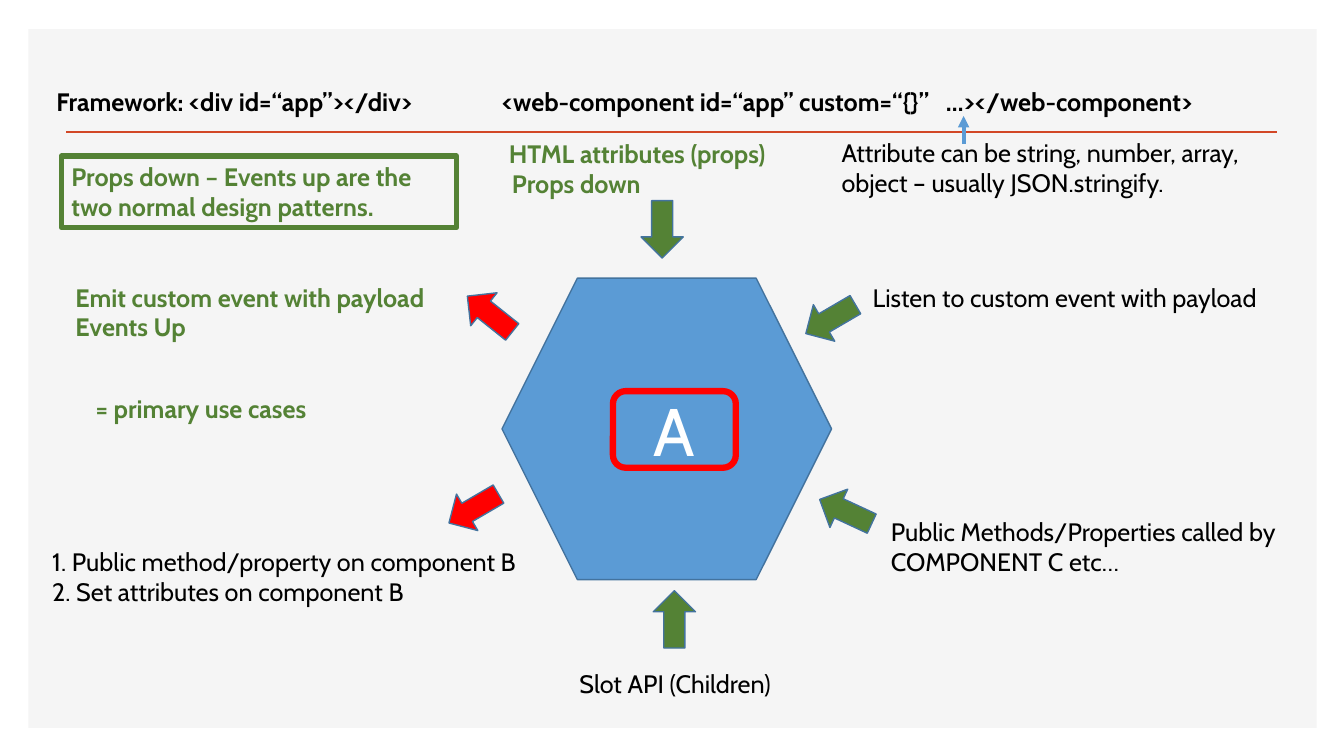
from lxml import etree
from pptx import Presentation
from pptx.dml.color import RGBColor
from pptx.enum.shapes import MSO_CONNECTOR, MSO_SHAPE
from pptx.enum.text import MSO_ANCHOR, MSO_AUTO_SIZE, PP_ALIGN
from pptx.oxml.ns import qn
from pptx.util import Pt

RECTANGLE = MSO_SHAPE.RECTANGLE
ROUNDED_RECTANGLE = MSO_SHAPE.ROUNDED_RECTANGLE
HEXAGON = MSO_SHAPE.HEXAGON
UP_ARROW = MSO_SHAPE.UP_ARROW
STRAIGHT = MSO_CONNECTOR.STRAIGHT
MIDDLE = MSO_ANCHOR.MIDDLE
CENTER = PP_ALIGN.CENTER
GROW = MSO_AUTO_SIZE.SHAPE_TO_FIT_TEXT

PANEL_GREY = RGBColor(0xF5, 0xF5, 0xF5)
RULE_ORANGE = RGBColor(0xD2, 0x47, 0x26)
BLUE = RGBColor(0x5B, 0x9B, 0xD5)
OUTLINE_BLUE = RGBColor(0x43, 0x73, 0x9E)
GREEN = RGBColor(0x54, 0x82, 0x35)
RED = RGBColor(0xFF, 0x00, 0x00)
BLACK = RGBColor(0x00, 0x00, 0x00)
WHITE = RGBColor(0xFF, 0xFF, 0xFF)

FONT = "Cabin"
ONE_LINE, TWO_LINES = 28.8, 51

presentation = Presentation()
presentation.slide_width = Pt(960)
presentation.slide_height = Pt(540)
slide = presentation.slides.add_slide(presentation.slide_layouts[6])


def add_filled_shape(kind, left, top, width, height, fill, line=None, line_width=1):
    shape = slide.shapes.add_shape(kind, Pt(left), Pt(top), Pt(width), Pt(height))
    shape.shadow.inherit = False
    shape.fill.solid()
    shape.fill.fore_color.rgb = fill
    if line is None:
        shape.line.fill.background()
    else:
        shape.line.color.rgb = line
        shape.line.width = Pt(line_width)
    return shape


def add_line(start, end, color, width):
    points = [Pt(value) for value in (*start, *end)]
    connector = slide.shapes.add_connector(STRAIGHT, *points)
    connector.line.color.rgb = color
    connector.line.width = Pt(width)
    etree.SubElement(connector._element.spPr, qn("a:effectLst"))
    return connector


# Background panel and header rule
add_filled_shape(RECTANGLE, 20.2, 20.9, 920.2, 499, PANEL_GREY)
add_line((47.5, 94.3), (912.2, 94.3), RULE_ORANGE, 2)

# Component A
add_filled_shape(HEXAGON, 358.6, 198.7, 235.4, 215.3, BLUE, OUTLINE_BLUE)
component = add_filled_shape(ROUNDED_RECTANGLE, 437.8, 279.4, 87.8, 54.7, BLUE, RED, 4.5)
component.text_frame.vertical_anchor = MIDDLE
paragraph = component.text_frame.paragraphs[0]
paragraph.alignment = CENTER
run = paragraph.add_run()
run.text = "A"
run.font.name = FONT
run.font.size = Pt(48)
run.font.color.rgb = WHITE

# Block arrows around the component: left, top, rotation, fill
block_arrows = [
    (457.9, 143.3, 180, GREEN),
    (578.2, 207.4, 239.7, GREEN),
    (589, 344.9, 294.9, GREEN),
    (466.6, 421.9, 0, GREEN),
    (323.3, 342.7, 239.7, RED),
    (334.8, 203.8, 308.6, RED),
]
for left, top, rotation, fill in block_arrows:
    arrow = add_filled_shape(UP_ARROW, left, top, 30.2, 41, fill, OUTLINE_BLUE)
    arrow.rotation = rotation

# Labels: left, top, width, height, color, bold, lines
labels = [
    (33.1, 58.3, 342, ONE_LINE, BLACK, True, ["Framework: <div id=“app”></div>"]),
    (351.4, 58.3, 589.7, ONE_LINE, BLACK, True,
     ["<web-component id=“app” custom=“{}”   …></web-component>"]),
    (356.4, 95, 222.5, ONE_LINE, GREEN, True, ["HTML attributes (props)"]),
    (358.6, 116.6, 128.9, ONE_LINE, GREEN, True, ["Props down"]),
    (594, 94.3, 347, TWO_LINES, BLACK, False,
     ["Attribute can be string, number, array, object – usually JSON.stringify."]),
    (46.8, 198, 299.5, ONE_LINE, GREEN, True, ["Emit custom event with payload"]),
    (46.8, 218.9, 128.9, ONE_LINE, GREEN, True, ["Events Up"]),
    (61.2, 277.2, 198.7, ONE_LINE, GREEN, True, ["= primary use cases"]),
    (616.3, 198, 316.8, ONE_LINE, BLACK, False, ["Listen to custom event with payload"]),
    (629.3, 365, 293, TWO_LINES, BLACK, False,
     ["Public Methods/Properties called by COMPONENT C etc…"]),
    (30.2, 386.6, 367.9, TWO_LINES, BLACK, False,
     ["1. Public method/property on component B", "2. Set attributes on component B"]),
    (406.8, 473.8, 167, ONE_LINE, BLACK, False, ["Slot API (Children)"]),
    (43.9, 111.6, 282.2, TWO_LINES, GREEN, True,
     ["Props down – Events up are the two normal design patterns."]),
]
for left, top, width, height, color, bold, lines in labels:
    label = slide.shapes.add_textbox(Pt(left), Pt(top), Pt(width), Pt(height))
    frame = label.text_frame
    frame.word_wrap = True
    frame.auto_size = GROW
    for index, line in enumerate(lines):
        paragraph = frame.add_paragraph() if index else frame.paragraphs[0]
        run = paragraph.add_run()
        run.text = line
        run.font.name = FONT
        run.font.size = Pt(18)
        run.font.bold = bold
        run.font.color.rgb = color

# The last label is the framed design-pattern note
label.line.color.rgb = GREEN
label.line.width = Pt(4)

# Pointer from the attribute note to the tag
pointer = add_line((688.3, 103), (688.3, 82.8), BLUE, 2.75)
etree.SubElement(pointer.line._get_or_add_ln(), qn("a:tailEnd"), type="triangle")

presentation.save("out.pptx")
